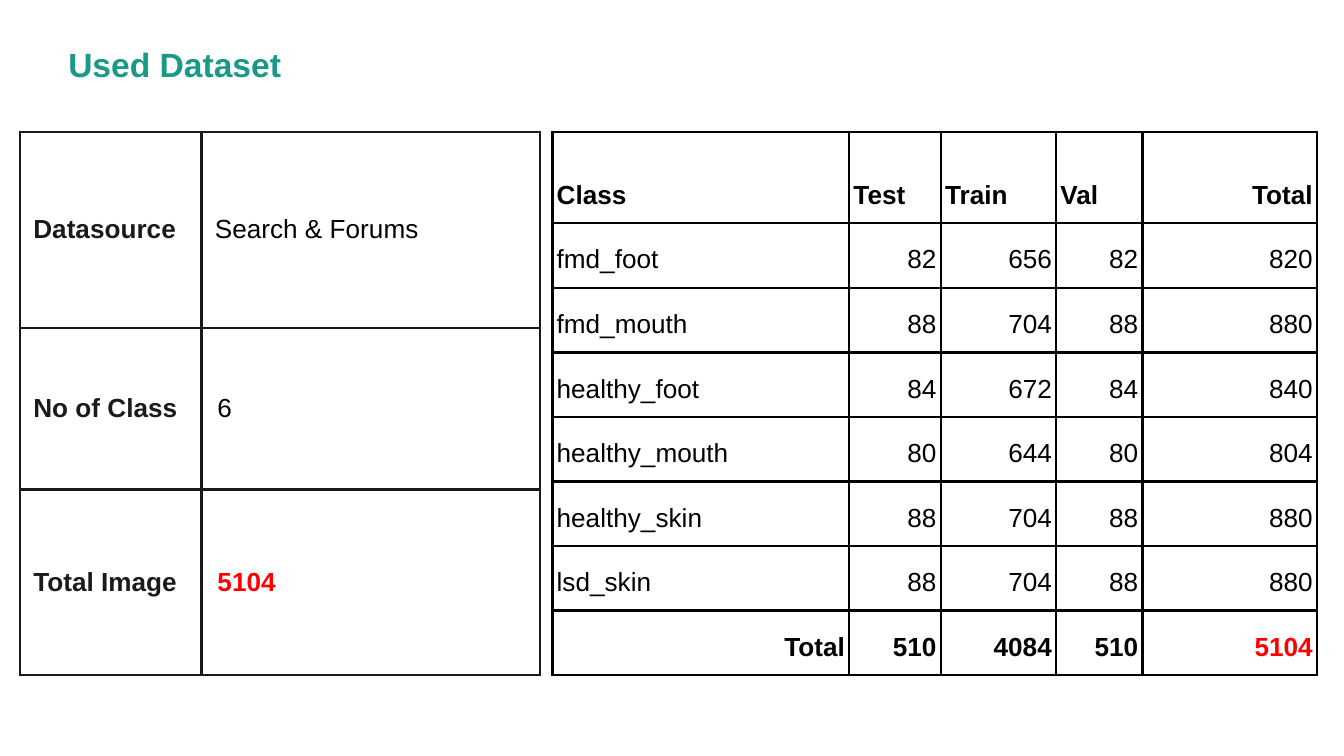
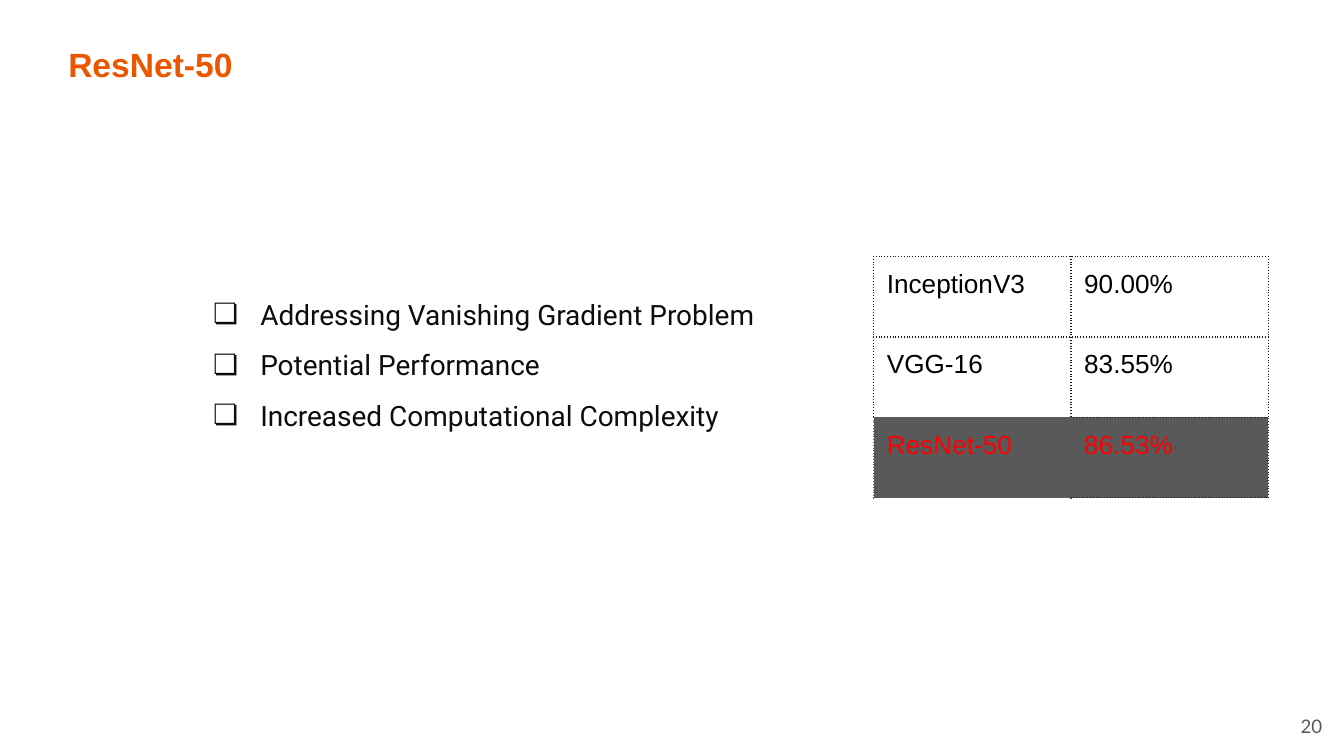
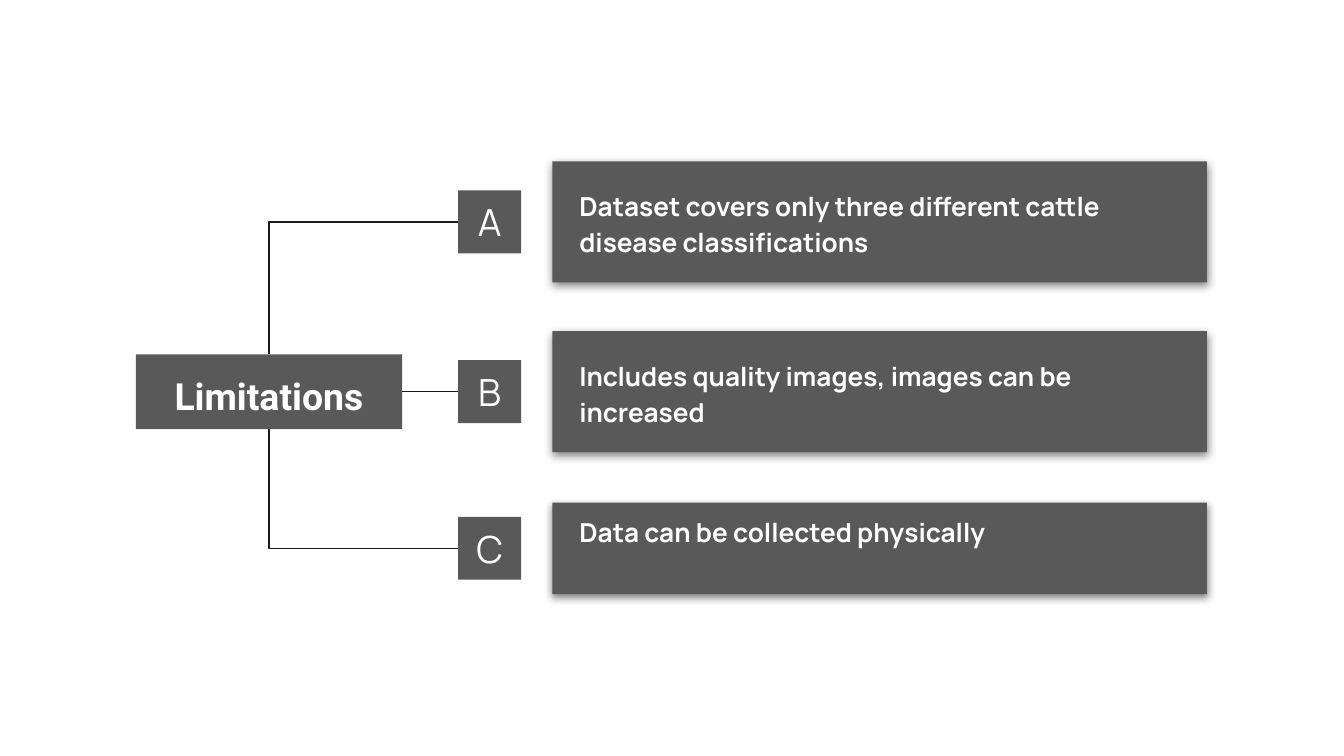
from lxml.etree import SubElement
from pptx import Presentation
from pptx.dml.color import RGBColor
from pptx.enum.shapes import MSO_CONNECTOR, MSO_SHAPE
from pptx.enum.text import MSO_ANCHOR, MSO_AUTO_SIZE, PP_ALIGN
from pptx.oxml import parse_xml
from pptx.oxml.ns import nsdecls, qn
from pptx.util import Cm, Pt


class Theme:
    ink, text, black, white = "1A1A1A", "0D0D0D", "000000", "FFFFFF"
    grey, red, teal, orange = "595959", "FF0000", "1A9988", "EB5600"
    sans, body, card, foot = "Arial", "Roboto", "Manrope", "Lato"
    page, cell, item, head, label = 10, 14, 15, 18, 20
    pad = 0.25
    loose = 1.15


# Used Dataset
FACTS = [
    ("Datasource", "Search & Forums"),
    ("No of Class", "6"),
    ("Total Image", "5104"),
]
FACT_COLS, FACT_ROWS = [3.43, 6.4], [3.71, 3.05, 3.51]
SPLIT = [
    ("Class", "Test", "Train", "Val", "Total"),
    ("fmd_foot", "82", "656", "82", "820"),
    ("fmd_mouth", "88", "704", "88", "880"),
    ("healthy_foot", "84", "672", "84", "840"),
    ("healthy_mouth", "80", "644", "80", "804"),
    ("healthy_skin", "88", "704", "88", "880"),
    ("lsd_skin", "88", "704", "88", "880"),
    ("Total", "510", "4084", "510", "5104"),
]
SPLIT_COLS, SPLIT_ROWS = [5.61, 1.73, 2.18, 1.63, 3.3], [1.73] + [1.22] * 7

# ResNet-50
POINTS = [
    "Addressing Vanishing Gradient Problem",
    "Potential Performance",
    "Increased Computational Complexity",
]
SCORES = [("InceptionV3", "90.00%"), ("VGG-16", "83.55%"), ("ResNet-50", "86.53%")]
GREY_SIDES = {(1, 0): "B", (2, 0): "LRTB", (2, 1): "L"}

# Limitations: letter, note, top, height, side of the root box to join
LIMITS = [
    ("A", "Dataset covers only three different cattle disease classifications", 3.05, 2.29, 0),
    ("B", "Includes quality images, images can be increased", 6.26, 2.29, 3),
    ("C", "Data can be collected physically", 9.5, 1.73, 2),
]


def rgb(code):
    return RGBColor.from_string(code)


def add_bullet(para, color, sign="❏"):
    props = para._p.get_or_add_pPr()
    props.set("marL", str(Cm(2.54)))
    props.set("indent", str(Cm(-0.89)))
    tint = SubElement(props, qn("a:buClr"))
    SubElement(tint, qn("a:srgbClr"), val=color)
    SubElement(props, qn("a:buFont"), typeface=Theme.body)
    SubElement(props, qn("a:buChar"), char=sign)


def write(frame, text, size=Theme.cell, font=Theme.sans, color=Theme.black,
          bold=False, align=PP_ALIGN.LEFT, space=1.0, bullet=False, left=0):
    """Fill a text frame with one line, or with a list of lines."""
    lines = [text] if isinstance(text, str) else text
    for i, line in enumerate(lines):
        para = frame.add_paragraph() if i else frame.paragraphs[0]
        para.alignment = align
        para.line_spacing = space
        if bullet:
            add_bullet(para, color)
        elif left:
            para._p.get_or_add_pPr().set("marL", str(Cm(left)))
        run = para.add_run()
        run.text = line
        run.font.size, run.font.name, run.font.bold = Pt(size), font, bold
        run.font.color.rgb = rgb(color)


def place(shape, x, y, w, h):
    shape.left, shape.top, shape.width, shape.height = Cm(x), Cm(y), Cm(w), Cm(h)


def set_frame(shape, anchor=MSO_ANCHOR.TOP, pad=Theme.pad, top=None):
    frame = shape.text_frame
    frame.word_wrap = True
    frame.auto_size = MSO_AUTO_SIZE.NONE
    frame.vertical_anchor = anchor
    frame.margin_left = frame.margin_right = frame.margin_bottom = Cm(pad)
    frame.margin_top = Cm(pad if top is None else top)
    return frame


def add_title(slide, text, color, high):
    title = slide.shapes.title
    place(title, 1.04, 0.58, 13.74, high)
    write(set_frame(title), text, size=Theme.head, color=color, bold=True)


def add_text(slide, box, text, anchor=MSO_ANCHOR.TOP, top=None, **style):
    shape = slide.shapes.add_textbox(*map(Cm, box))
    write(set_frame(shape, anchor, top=top), text, **style)


def add_box(slide, box, text, pad=Theme.pad, anchor=MSO_ANCHOR.MIDDLE, top=None, **style):
    shape = slide.shapes.add_shape(MSO_SHAPE.RECTANGLE, *map(Cm, box))
    shape.shadow.inherit = False
    paint(shape)
    write(set_frame(shape, anchor, pad, top), text, color=Theme.white, **style)
    return shape


def paint(shape):
    shape.fill.solid()
    shape.fill.fore_color.rgb = rgb(Theme.grey)
    shape.line.fill.background()


def add_shadow(shape):
    effects = shape._element.spPr.find(qn("a:effectLst"))
    effects.append(parse_xml(
        f'<a:outerShdw {nsdecls("a")} blurRad="{Pt(4.5)}" dist="{Pt(1.5)}" dir="5400000" '
        f'algn="bl" rotWithShape="0"><a:srgbClr val="{Theme.black}">'
        '<a:alpha val="50000"/></a:srgbClr></a:outerShdw>'))


def add_edges(cell, colors, width, dash):
    props = cell._tc.get_or_add_tcPr()
    for i, (side, color) in enumerate(zip("LRTB", colors)):
        props.insert(i, parse_xml(
            f'<a:ln{side} {nsdecls("a")} w="{Pt(width)}"><a:solidFill>'
            f'<a:srgbClr val="{color}"/></a:solidFill><a:prstDash val="{dash}"/></a:ln{side}>'))


def add_grid(slide, x, y, rows, wide, high, look, anchor=MSO_ANCHOR.TOP,
             side=Theme.pad, width=1.5, dash="solid"):
    """Draw a table; look(row, column) gives text style, fill and four edge colours."""
    size = map(Cm, (x, y, sum(wide), sum(high)))
    table = slide.shapes.add_table(len(rows), len(wide), *size).table
    table.first_row = table.horz_banding = False
    for part, length in zip([*table.columns], wide):
        part.width = Cm(length)
    for part, length in zip([*table.rows], high):
        part.height = Cm(length)
    for r, row in enumerate(rows):
        for c, text in enumerate(row):
            cell = table.cell(r, c)
            style, fill, edges = look(r, c)
            cell.vertical_anchor = anchor
            cell.margin_left = cell.margin_right = Cm(side)
            cell.margin_top = cell.margin_bottom = Cm(Theme.pad)
            if fill:
                cell.fill.solid()
                cell.fill.fore_color.rgb = rgb(fill)
            else:
                cell.fill.background()
            add_edges(cell, edges, width, dash)
            write(cell.text_frame, text, **style)


def fact_look(r, c):
    last = r == len(FACTS) - 1
    color = Theme.ink if c == 0 else Theme.red if last else Theme.black
    style = dict(color=color, bold=c == 0 or last, left=0.05 if c and r else 0)
    return style, None, [Theme.ink] * 4


def split_look(r, c):
    last = r == len(SPLIT) - 1
    end = c == len(SPLIT_COLS) - 1
    right = end or last or (r > 0 and c > 0)
    style = dict(bold=r == 0 or last, space=Theme.loose,
                 color=Theme.red if last and end else Theme.black,
                 align=PP_ALIGN.RIGHT if right else PP_ALIGN.LEFT)
    return style, Theme.white, [Theme.black] * 4


def score_look(r, c):
    last = r == len(SCORES) - 1
    grey = GREY_SIDES.get((r, c), "")
    edges = [Theme.grey if side in grey else Theme.ink for side in "LRTB"]
    return dict(color=Theme.red if last else Theme.black), Theme.grey if last else None, edges


def join(slide, box, root, side):
    """Link the left side of a letter box to one side of the root box."""
    kind = MSO_CONNECTOR.STRAIGHT if side == 3 else MSO_CONNECTOR.ELBOW
    link = slide.shapes.add_connector(kind, 0, 0, 0, 0)
    link.begin_connect(box, 1)
    link.end_connect(root, side)
    link.line.color.rgb = rgb(Theme.ink)
    link.line.width = Pt(0.75)
    props = link._element.spPr
    if side != 3:
        props.find(qn("a:prstGeom")).set("prst", "bentConnector2")
    SubElement(props, qn("a:effectLst"))


def dataset_slide(slide):
    add_title(slide, "Used Dataset", Theme.teal, 1.27)
    add_grid(slide, 0.38, 2.49, FACTS, FACT_COLS, FACT_ROWS, fact_look, MSO_ANCHOR.MIDDLE)
    add_grid(slide, 10.44, 2.49, SPLIT, SPLIT_COLS, SPLIT_ROWS, split_look,
             MSO_ANCHOR.BOTTOM, side=0.08)


def model_slide(slide):
    add_title(slide, "ResNet-50", Theme.orange, 2.06)
    add_text(slide, (23.72, 13.18, 1.52, 1.09), "20", MSO_ANCHOR.MIDDLE, size=Theme.page,
             font=Theme.foot, color=Theme.grey, align=PP_ALIGN.RIGHT)
    add_text(slide, (2.13, 4.09, 22.1, 4.04), POINTS, top=1.22, size=Theme.item,
             font=Theme.body, color=Theme.text, space=1.5, bullet=True)
    add_grid(slide, 16.51, 4.85, SCORES, [3.73] * 2, [1.52] * 3, score_look,
             width=0.75, dash="sysDot")


def limits_slide(slide):
    root = slide.shapes.title
    place(root, 2.57, 6.7, 5.03, 1.41)
    paint(root)
    write(set_frame(root, MSO_ANCHOR.MIDDLE), "Limitations", size=Theme.label, font=Theme.body,
          color=Theme.white, bold=True, align=PP_ALIGN.CENTER, space=Theme.loose)
    edge = 1.19
    for letter, note, top, high, side in LIMITS:
        short = high < 2
        card = add_box(slide, (10.44, top, 12.37, high), note, pad=0.51,
                       anchor=MSO_ANCHOR.TOP if short else MSO_ANCHOR.MIDDLE,
                       top=0.17 if short else None,
                       font=Theme.card, bold=True, space=Theme.loose)
        add_shadow(card)
        box = add_box(slide, (8.66, top + (high - edge) / 2, edge, edge), letter,
                      size=Theme.label, font=Theme.card, align=PP_ALIGN.CENTER)
        join(slide, box, root, side)


def main():
    deck = Presentation()
    deck.slide_width, deck.slide_height = Cm(25.4), Cm(14.29)
    for build in (dataset_slide, model_slide, limits_slide):
        build(deck.slides.add_slide(deck.slide_layouts[5]))
    deck.save("out.pptx")


if __name__ == "__main__":
    main()
